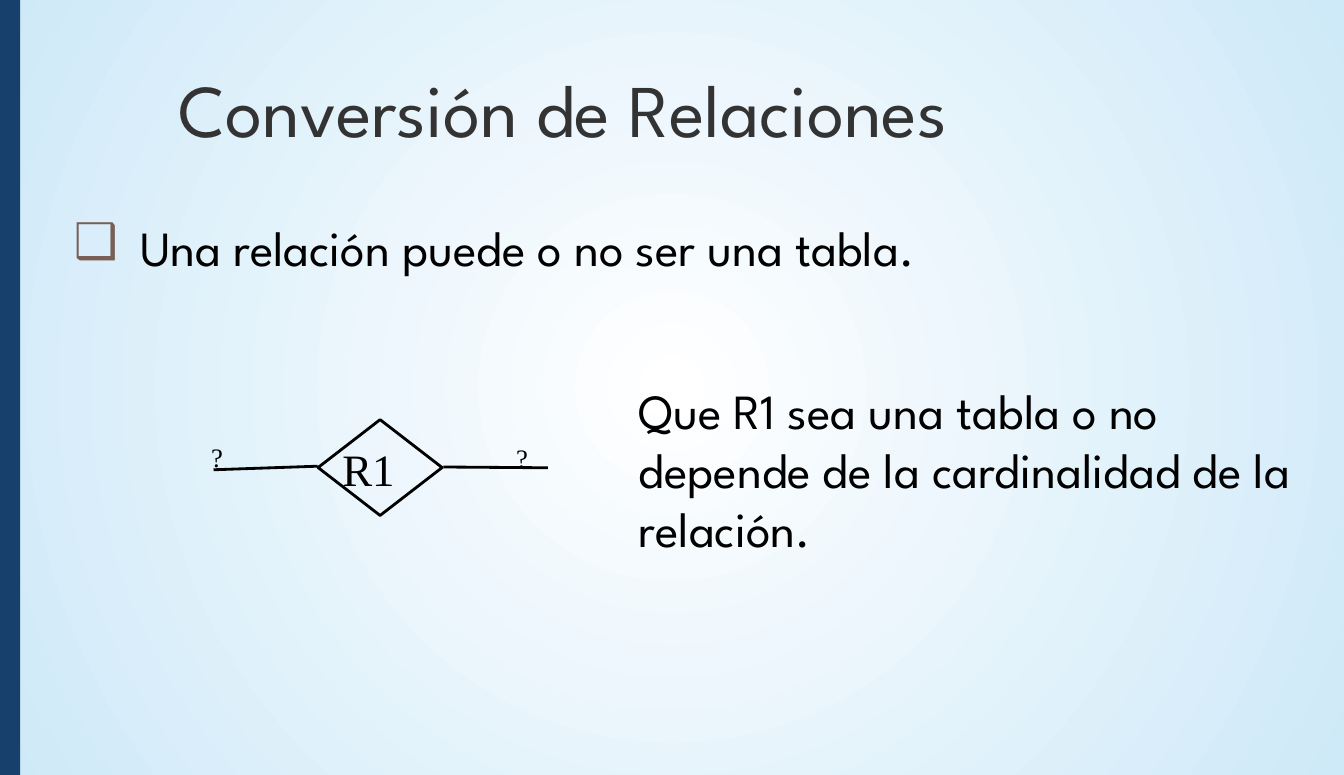
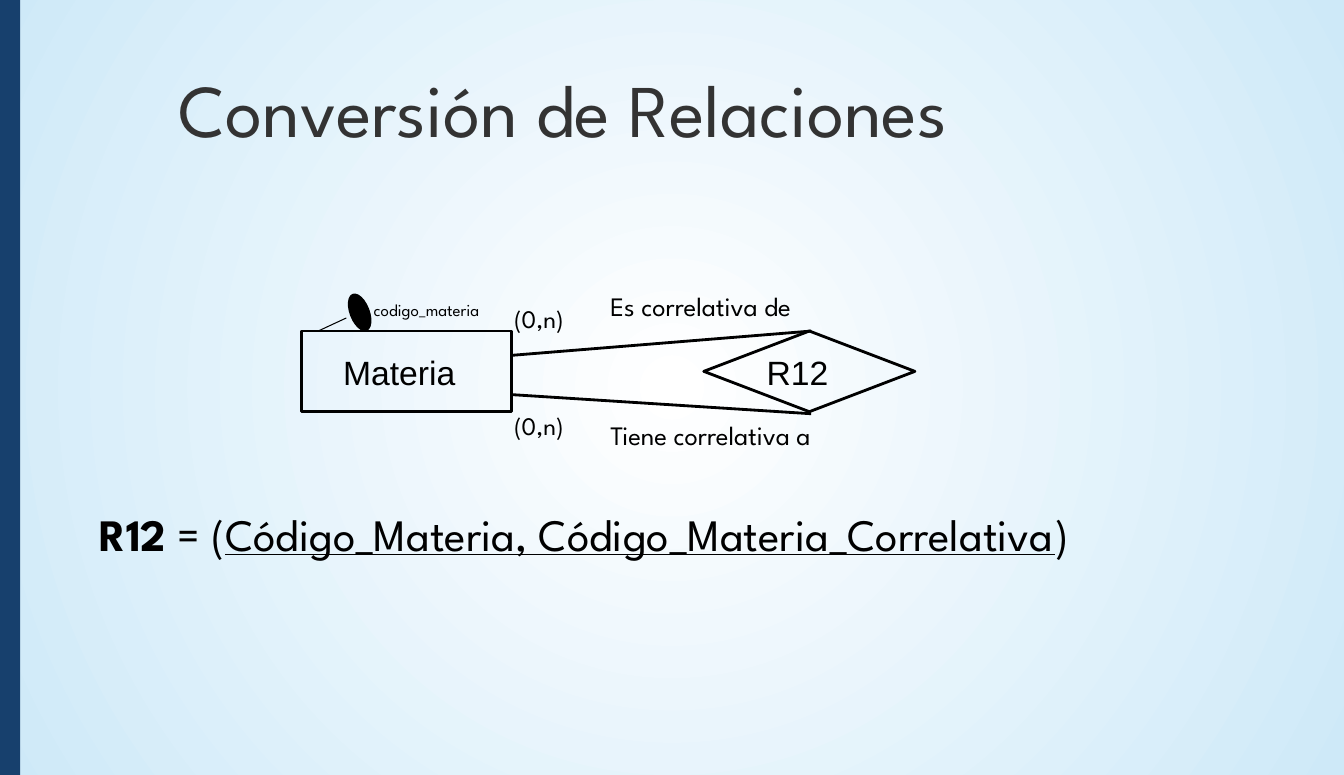
"""Build two slides on converting entity-relationship relations into tables."""
from lxml.etree import SubElement
from pptx import Presentation
from pptx.dml.color import RGBColor
from pptx.enum.shapes import MSO_CONNECTOR as Connector, MSO_SHAPE as Shape
from pptx.enum.text import MSO_ANCHOR as Anchor, MSO_AUTO_SIZE as AutoSize, PP_ALIGN as Align
from pptx.oxml.ns import qn
from pptx.util import Cm, Pt

COLORS = {"ink": "000000", "title": "333333", "band": "17406D",
          "bullet": "775F55", "center": "FFFFFF", "edge": "CEE9F8"}
RGB = {name: RGBColor.from_string(value) for name, value in COLORS.items()}
SPARTAN, TIMES, ARIAL = "League Spartan", "Times New Roman", "Arial"


def write(box, place, text, font, size, color="ink", anchor=Anchor.TOP):
    """Place a text shape, fill it with one paragraph and return that paragraph."""
    box.left, box.top, box.width, box.height = map(Cm, place)
    frame = box.text_frame
    frame.word_wrap = True
    frame.auto_size = AutoSize.NONE
    frame.vertical_anchor = anchor
    side, edge = (0.3, 0.15) if font == SPARTAN else (0.25, 0.13)
    frame.margin_left = frame.margin_right = Cm(side)
    frame.margin_top = frame.margin_bottom = Cm(edge)
    para = frame.paragraphs[0]
    para.text = text
    para.alignment = Align.LEFT
    para.space_before = Pt(0)
    para.font.name = font
    para.font.size = Pt(size)
    para.font.color.rgb = RGB[color]
    return para


def connect(page, start, end, weight=2):
    """Draw a plain black line between two points."""
    line = page.shapes.add_connector(Connector.STRAIGHT, *map(Cm, start + end))
    line.line.color.rgb = RGB["ink"]
    line.line.width = Pt(weight)
    SubElement(line.element.spPr, qn("a:effectLst"))


deck = Presentation()
deck.slide_width, deck.slide_height = Cm(33.8), Cm(19.5)
master = deck.slide_master

backdrop = master.background.fill
backdrop.gradient()
for stop, name in zip(backdrop.gradient_stops, ("center", "edge")):
    stop.color.rgb = RGB[name]
gradient = next(master.element.iter(qn("a:gradFill")))
gradient.remove(gradient.find(qn("a:lin")))
circle = SubElement(gradient, qn("a:path"), path="circle")
SubElement(circle, qn("a:fillToRect"), l="50000", t="50000", r="50000", b="50000")

intro = deck.slides.add_slide(deck.slide_layouts[1])
example = deck.slides.add_slide(deck.slide_layouts[5])

band = intro.shapes.add_shape(Shape.RECTANGLE, 0, 0, Cm(0.51), deck.slide_height)
band.shadow.inherit = False
band.fill.solid()
band.fill.fore_color.rgb = RGB["band"]
band.line.fill.background()
master.shapes.element.insert(2, band.element)

for page in (intro, example):
    write(page.shapes.title, (4.19, 1.43, 29.5, 2.82), "Conversión de Relaciones",
          SPARTAN, 53, "title")

point = write(intro.placeholders[1], (1.56, 5.44, 32, 1.52),
              "Una relación puede o no ser una tabla.", SPARTAN, 35, anchor=Anchor.MIDDLE)
indent = Cm(1.67)
properties = point._p.get_or_add_pPr()
properties.set("marL", str(indent))
properties.set("indent", str(-indent))
bullet_color = SubElement(properties, qn("a:buClr"))
SubElement(bullet_color, qn("a:srgbClr"), val=COLORS["bullet"])
SubElement(properties, qn("a:buFont"), typeface=SPARTAN)
SubElement(properties, qn("a:buChar"), char="❑")
properties.append(properties.find(qn("a:defRPr")))

outlines = [
    (intro, Shape.DIAMOND, (8, 10.56, 3.12, 2.41)),
    (example, Shape.RECTANGLE, (7.58, 8.33, 5.28, 2.03)),
    (example, Shape.FLOWCHART_DECISION, (17.7, 8.33, 5.31, 2.03)),
]
for page, kind, place in outlines:
    outline = page.shapes.add_shape(kind, *map(Cm, place))
    outline.shadow.inherit = False
    outline.fill.background()
    outline.line.color.rgb = RGB["ink"]
    outline.line.width = Pt(2)

key_marker = example.shapes.add_shape(Shape.OVAL, Cm(8.56), Cm(7.62), Cm(0.97), Cm(0.48))
key_marker.rotation = 69
key_marker.shadow.inherit = False
key_marker.fill.solid()
key_marker.fill.fore_color.rgb = RGB["ink"]
key_marker.line.color.rgb = RGB["ink"]
key_marker.line.width = Pt(0.75)

connect(intro, (11.15, 11.75), (13.78, 11.77))
connect(intro, (5.37, 11.82), (7.99, 11.73))
connect(example, (20.4, 10.41), (12.88, 9.93))
connect(example, (20.4, 8.33), (12.88, 8.94))
connect(example, (8, 8.33), (8.71, 8), 0.75)

labels = [
    (intro, (8.36, 10.99, 3.12, 0.94), "R1", TIMES, 32),
    (intro, (5.06, 10.97, 1.42, 0.94), "?", TIMES, 19),
    (intro, (12.73, 10.99, 1.24, 0.94), "?", TIMES, 19),
    (intro, (15.77, 9.42, 18.03, 4.75),
     "Que R1 sea una tabla o no depende de la cardinalidad de la relación.", SPARTAN, 35),
    (example, (8.38, 8.73, 3.96, 1.27), "Materia", ARIAL, 24),
    (example, (19.03, 8.73, 3.15, 1.27), "R12", ARIAL, 24),
    (example, (12.63, 7.49, 3.73, 1.07), "(0,n)", SPARTAN, 18),
    (example, (12.63, 10.18, 3.73, 1.07), "(0,n)", SPARTAN, 18),
    (example, (15.05, 7.15, 6.27, 1.12), "Es correlativa de", SPARTAN, 19),
    (example, (15.05, 10.39, 6.93, 1.12), "Tiene correlativa a", SPARTAN, 19),
    (example, (9.1, 7.39, 3.94, 0.81), "codigo_materia", SPARTAN, 12),
]
for page, place, text, font, size in labels:
    write(page.shapes.add_textbox(0, 0, 0, 0), place, text, font, size)

schema = write(example.shapes.add_textbox(0, 0, 0, 0), (2.21, 12.6, 31.5, 1.65),
               "", SPARTAN, 32)
schema_parts = [
    ("R12", True, False),
    (" = (", False, False),
    ("Código_Materia, Código_Materia_Correlativa", False, True),
    (")", False, False),
]
for text, bold, underline in schema_parts:
    span = schema.add_run()
    span.text = text
    span.font.bold = bold
    span.font.underline = underline

deck.save("out.pptx")
